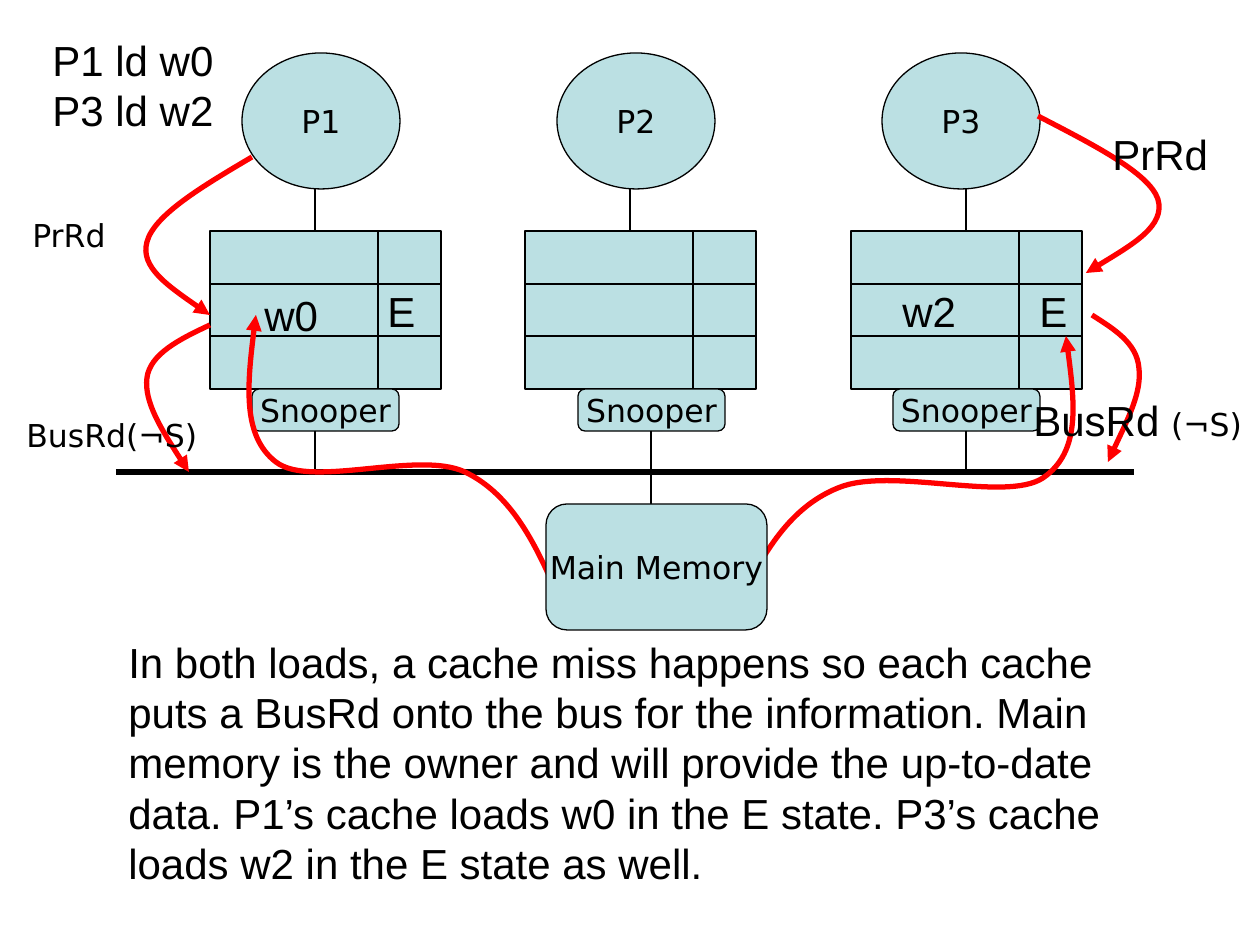
from lxml.etree import SubElement
from pptx import Presentation
from pptx.dml.color import RGBColor
from pptx.enum.shapes import MSO_CONNECTOR, MSO_SHAPE
from pptx.enum.text import MSO_ANCHOR, MSO_AUTO_SIZE, PP_ALIGN
from pptx.oxml.ns import qn
from pptx.util import Pt

PX = 914400 // 126
BLACK = RGBColor(0x00, 0x00, 0x00)
RED = RGBColor(0xFF, 0x00, 0x00)
PALE_TEAL = RGBColor(0xBB, 0xE0, 0xE3)
SMALL = ("DejaVu Sans", 18)
LARGE = ("Arial", 24)

prs = Presentation()
prs.slide_width, prs.slide_height = 1260 * PX, 945 * PX
slide = prs.slides.add_slide(prs.slide_layouts[6])
shapes = slide.shapes


def add_block(kind, x, y, w, h, caption=""):
    block = shapes.add_shape(kind, x * PX, y * PX, w * PX, h * PX)
    block.shadow.inherit = False
    block.fill.solid()
    block.fill.fore_color.rgb = PALE_TEAL
    block.line.color.rgb = BLACK
    block.line.width = Pt(0.74)
    if caption:
        frame = block.text_frame
        frame.word_wrap = False
        frame.vertical_anchor = MSO_ANCHOR.MIDDLE
        paragraph = frame.paragraphs[0]
        paragraph.text = caption
        paragraph.alignment = PP_ALIGN.CENTER
        paragraph.font.name, paragraph.font.size = SMALL[0], Pt(SMALL[1])
        paragraph.font.color.rgb = BLACK


def add_label(x, y, w, h, lines, style, wrap=False):
    frame = shapes.add_textbox(x * PX, y * PX, w * PX, h * PX).text_frame
    frame.word_wrap = wrap
    frame.auto_size = MSO_AUTO_SIZE.SHAPE_TO_FIT_TEXT
    frame.text = "\n".join(lines)
    for paragraph in frame.paragraphs:
        paragraph.font.name, paragraph.font.size = style[0], Pt(style[1])
        paragraph.font.color.rgb = BLACK
    return frame.paragraphs[0]


explanation = add_label(116, 630, 1008, 265, [
    "In both loads, a cache miss happens so each cache puts a BusRd onto the bus "
    "for the information. Main memory is the owner and will provide the up-to-date "
    "data. P1’s cache loads w0 in the E state. P3’s cache loads w2 in the E state "
    "as well."], LARGE, wrap=True)
explanation.space_before = Pt(15)

wires = [(116, 472, 1134, 472, 3.26), (651, 472, 651, 514, 0.74)]
row_edges = [231, 284, 336, 389]
for name, cpu_x, cache_x, snooper_x, cpu_wire, bus_wire in [
    ("P1", 242, 210, 252, 315, 315),
    ("P2", 557, 525, 578, 630, 651),
    ("P3", 882, 851, 893, 966, 966),
]:
    add_block(MSO_SHAPE.OVAL, cpu_x, 53, 158, 136, name)
    for top, bottom in zip(row_edges, row_edges[1:]):
        add_block(MSO_SHAPE.RECTANGLE, cache_x, top, 168, bottom - top)
        add_block(MSO_SHAPE.RECTANGLE, cache_x + 168, top, 63, bottom - top)
    add_block(MSO_SHAPE.ROUNDED_RECTANGLE, snooper_x, 389, 147, 42, "Snooper")
    wires += [(cpu_wire, 189, cpu_wire, 231, 0.74),
              (bus_wire, 431, bus_wire, 472, 0.74)]

for x1, y1, x2, y2, weight in wires:
    wire = shapes.add_connector(
        MSO_CONNECTOR.STRAIGHT, x1 * PX, y1 * PX, x2 * PX, y2 * PX)
    wire.line.color.rgb = BLACK
    wire.line.width = Pt(weight)
    SubElement(wire.element.spPr, qn("a:effectLst"))

for start, *bends in [
    [(252, 157), (203, 186), (154, 215), (147, 242),
     (140, 267), (175, 291), (210, 315)],
    [(210, 325), (180, 339), (150, 354), (147, 378),
     (144, 402), (166, 437), (189, 472)],
    [(559, 598), (537, 547), (513, 495), (465, 472),
     (418, 450), (311, 489), (276, 462), (242, 436), (248, 375), (256, 315)],
    [(735, 609), (761, 559), (786, 509), (838, 488),
     (890, 466), (1005, 503), (1043, 478), (1081, 452), (1074, 394), (1066, 336)],
    [(1038, 116), (1094, 145), (1149, 173), (1158, 199),
     (1166, 226), (1125, 249), (1086, 273)],
    [(1092, 315), (1114, 329), (1137, 343), (1139, 368),
     (1142, 392), (1124, 427), (1108, 462)],
]:
    builder = shapes.build_freeform(*start, scale=PX)
    builder.add_line_segments(bends, close=False)
    arrow = builder.convert_to_shape()
    arrow.shadow.inherit = False
    arrow.fill.background()
    arrow.line.color.rgb = RED
    arrow.line.width = Pt(3)
    SubElement(arrow.element.xpath(".//a:ln")[0], qn("a:tailEnd"), type="triangle")
    segments = arrow.element.xpath(".//a:lnTo")
    outline = segments[0].getparent()
    for first in range(0, len(segments), 3):
        curve = SubElement(outline, qn("a:cubicBezTo"))
        for segment in segments[first:first + 3]:
            curve.append(segment[0])
            outline.remove(segment)

for x, y, w, h, lines, style in [
    (40, 28, 188, 113, ["P1 ld w0", "P3 ld w2"], LARGE),
    (20, 210, 103, 50, ["PrRd"], SMALL),
    (14, 410, 200, 50, ["BusRd(¬S)"], SMALL),
    (1100, 122, 123, 63, ["PrRd"], LARGE),
    (252, 283, 82, 63, ["w0"], LARGE),
    (375, 279, 55, 63, ["E"], LARGE),
    (890, 279, 82, 63, ["w2"], LARGE),
    (1027, 279, 55, 63, ["E"], LARGE),
]:
    add_label(x, y, w, h, lines, style)

bus_read = add_label(1021, 388, 239, 63, ["BusRd "], LARGE)
condition = bus_read.add_run()
condition.text = "(¬S)"
condition.font.name, condition.font.size = SMALL[0], Pt(SMALL[1])

add_block(MSO_SHAPE.ROUNDED_RECTANGLE, 546, 504, 221, 126, "Main Memory")

prs.save("out.pptx")
